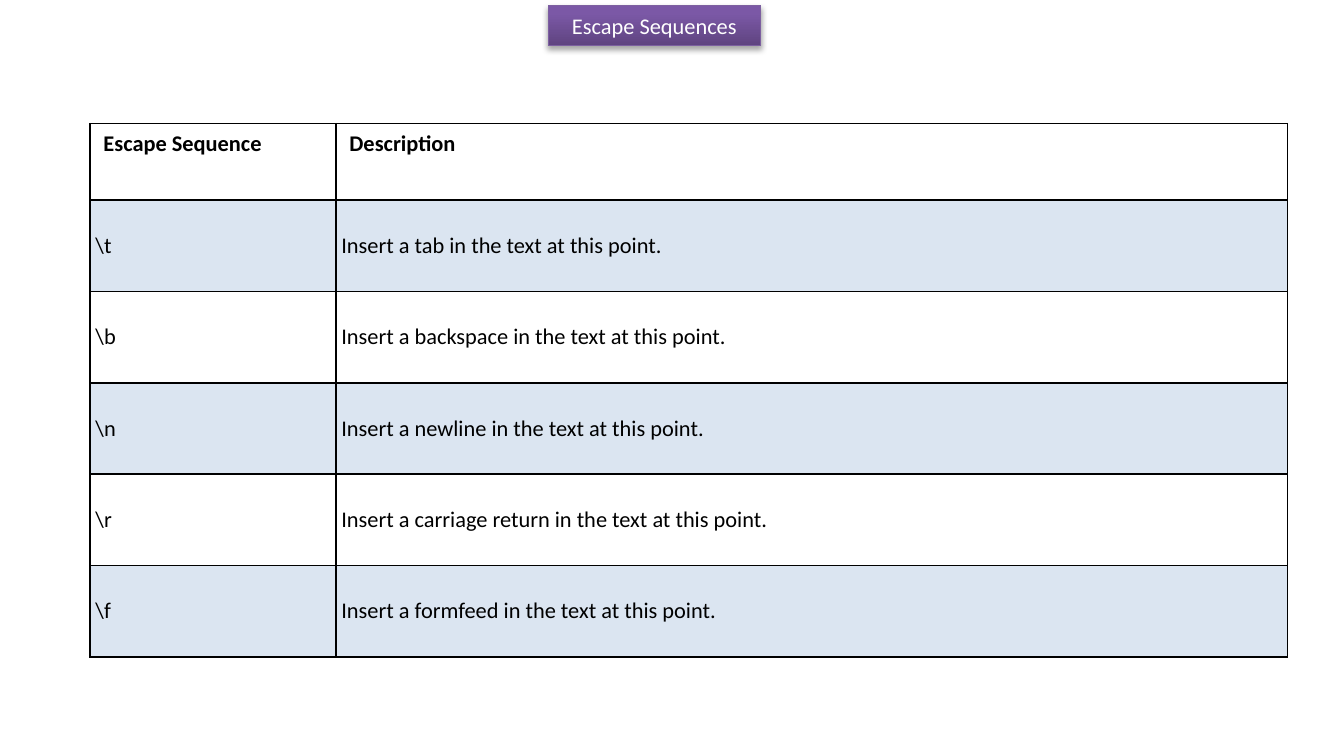
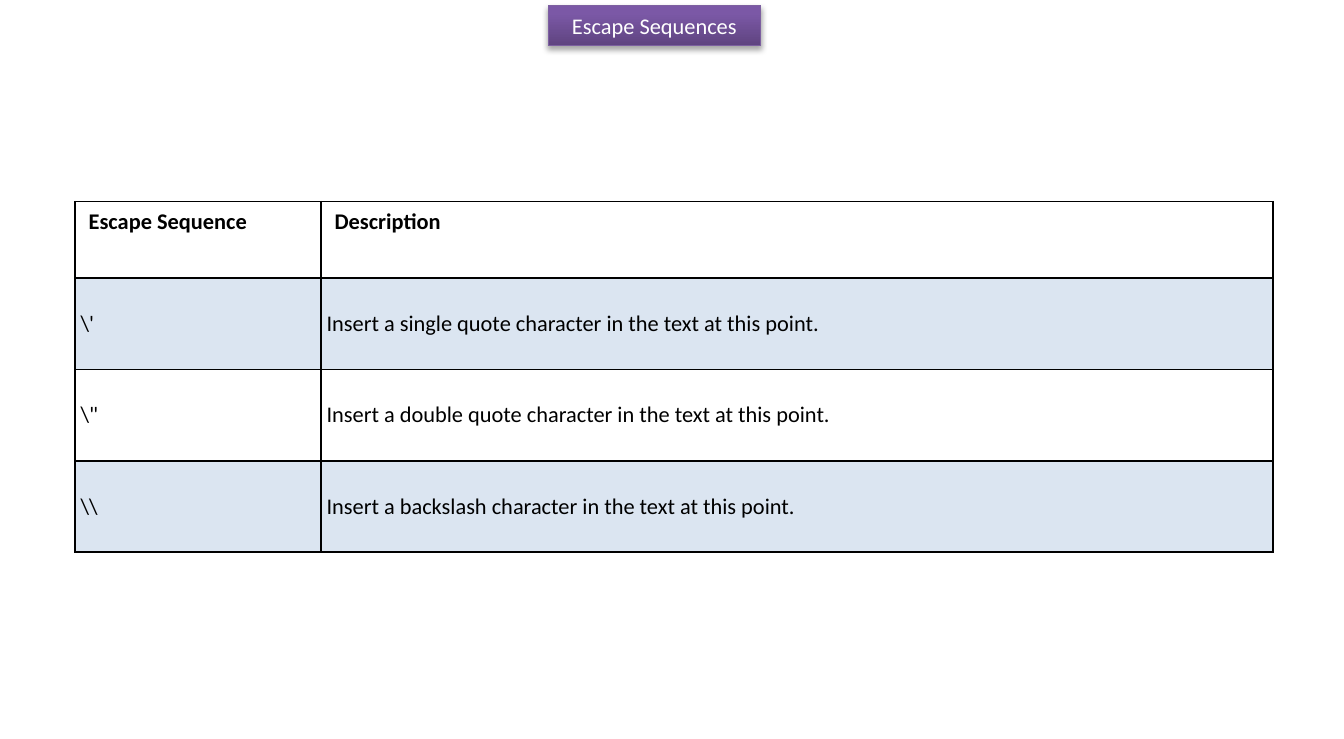
import dataclasses

import lxml.etree
import pptx
import pptx.dml.color
import pptx.enum.text
import pptx.oxml
import pptx.oxml.ns
import pptx.presentation
import pptx.slide
import pptx.table
import pptx.text.text
import pptx.util

Inches = pptx.util.Inches
Pt = pptx.util.Pt

FONT = "Calibri"
FONT_SIZE = 12
BLACK, WHITE = "000000", "FFFFFF"
BAND, BAND_ALPHA = "4F81BD", 20
TITLE_STOPS = [(0, "5F4480"), (80, "7B58A6"), (100, "7C57A8")]
TITLE_LINE = "7D60A0"

TITLE = "Escape Sequences"
HEADER = ("Escape Sequence", "Description")
COLUMN_WIDTHS = (1.83, 7.08)
HEADER_HEIGHT, ROW_HEIGHT = 0.57, 0.68
CELL_MARGIN = 0.04


@dataclasses.dataclass
class EscapeTable:
    left: float
    top: float
    rows: list[tuple[str, str]]


TABLES = [
    EscapeTable(0.67, 0.92, [
        (r"\t", "Insert a tab in the text at this point."),
        (r"\b", "Insert a backspace in the text at this point."),
        (r"\n", "Insert a newline in the text at this point."),
        (r"\r", "Insert a carriage return in the text at this point."),
        (r"\f", "Insert a formfeed in the text at this point."),
    ]),
    EscapeTable(0.56, 1.5, [
        (r"\'", "Insert a single quote character in the text at this point."),
        (r'\"', "Insert a double quote character in the text at this point."),
        (r"\\", "Insert a backslash character in the text at this point."),
    ]),
]


def rgb(color: str) -> pptx.dml.color.RGBColor:
    return pptx.dml.color.RGBColor.from_string(color)


def xml(tag: str, body: str = "", attrs: str = "") -> lxml.etree._Element:
    """Parse one DrawingML element."""
    ns = pptx.oxml.ns.nsdecls("a")
    return pptx.oxml.parse_xml(f"<a:{tag} {ns} {attrs}>{body}</a:{tag}>")


def color_xml(color: str, alpha: int = 100) -> str:
    return f'<a:srgbClr val="{color}"><a:alpha val="{alpha * 1000}"/></a:srgbClr>'


def format_text(tf: pptx.text.text.TextFrame, color: str, bold: bool = False) -> None:
    for p in tf.paragraphs:
        for r in p.runs:
            r.font.name = FONT
            r.font.size = Pt(FONT_SIZE)
            r.font.bold = bold
            r.font.color.rgb = rgb(color)


def add_title(s: pptx.slide.Slide) -> None:
    sp = s.shapes.title
    sp.left, sp.top = Inches(4.08), Inches(0.04)
    sp.width, sp.height = Inches(1.58), Inches(0.3)

    stops = "".join(f'<a:gs pos="{pos * 1000}">{color_xml(color)}</a:gs>'
                    for pos, color in TITLE_STOPS)
    sp_pr = sp._element.spPr
    sp_pr.append(xml("prstGeom", "<a:avLst/>", 'prst="rect"'))
    sp_pr.append(xml("gradFill", f'<a:gsLst>{stops}</a:gsLst><a:lin ang="16200000" scaled="0"/>'))
    sp.line.color.rgb = rgb(TITLE_LINE)
    sp.line.width = Pt(0.75)
    sp_pr.append(xml("effectLst", f'<a:outerShdw blurRad="{Pt(3.1)}" dist="{Pt(1.8)}" '
                     f'dir="5400000" rotWithShape="0">{color_xml(BLACK, 35)}</a:outerShdw>'))

    tf = sp.text_frame
    tf.text = TITLE
    tf.word_wrap = True
    tf.auto_size = pptx.enum.text.MSO_AUTO_SIZE.NONE
    tf.vertical_anchor = pptx.enum.text.MSO_ANCHOR.TOP
    tf.paragraphs[0].alignment = pptx.enum.text.PP_ALIGN.CENTER
    format_text(tf, WHITE)


def format_cell(cell: pptx.table._Cell, header: bool, banded: bool) -> None:
    tc_pr = cell._tc.get_or_add_tcPr()
    for side in ("lnL", "lnR", "lnT", "lnB"):
        tc_pr.append(xml(side, f"<a:solidFill>{color_xml(BLACK)}</a:solidFill>", f'w="{Pt(1)}"'))
    if banded:
        tc_pr.append(xml("solidFill", color_xml(BAND, BAND_ALPHA)))
    else:
        cell.fill.background()
    if not header:
        cell.vertical_anchor = pptx.enum.text.MSO_ANCHOR.MIDDLE
        cell.margin_left = cell.margin_right = Inches(CELL_MARGIN)
        cell.margin_top = cell.margin_bottom = Inches(CELL_MARGIN)
    format_text(cell.text_frame, BLACK, bold=header)


def add_escape_table(s: pptx.slide.Slide, escapes: EscapeTable) -> None:
    rows = [HEADER, *escapes.rows]
    height = HEADER_HEIGHT + ROW_HEIGHT * len(escapes.rows)
    table = s.shapes.add_table(len(rows), len(HEADER), Inches(escapes.left), Inches(escapes.top),
                               Inches(sum(COLUMN_WIDTHS)), Inches(height)).table
    table.first_row = table.horz_banding = False
    for column, width in zip(table.columns, COLUMN_WIDTHS):
        column.width = Inches(width)
    for i, texts in enumerate(rows):
        table.rows[i].height = Inches(ROW_HEIGHT if i else HEADER_HEIGHT)
        for j, text in enumerate(texts):
            cell = table.cell(i, j)
            cell.text_frame.text = text
            format_cell(cell, header=i == 0, banded=i % 2 == 1)


def add_slide(prs: pptx.presentation.Presentation, escapes: EscapeTable) -> None:
    s = prs.slides.add_slide(prs.slide_layouts.get_by_name("Title Only"))
    add_title(s)
    add_escape_table(s, escapes)


def main() -> None:
    prs = pptx.Presentation()
    prs.slide_width, prs.slide_height = Inches(10), Inches(5.5)
    for escapes in TABLES:
        add_slide(prs, escapes)
    prs.save("out.pptx")


if __name__ == "__main__":
    main()
